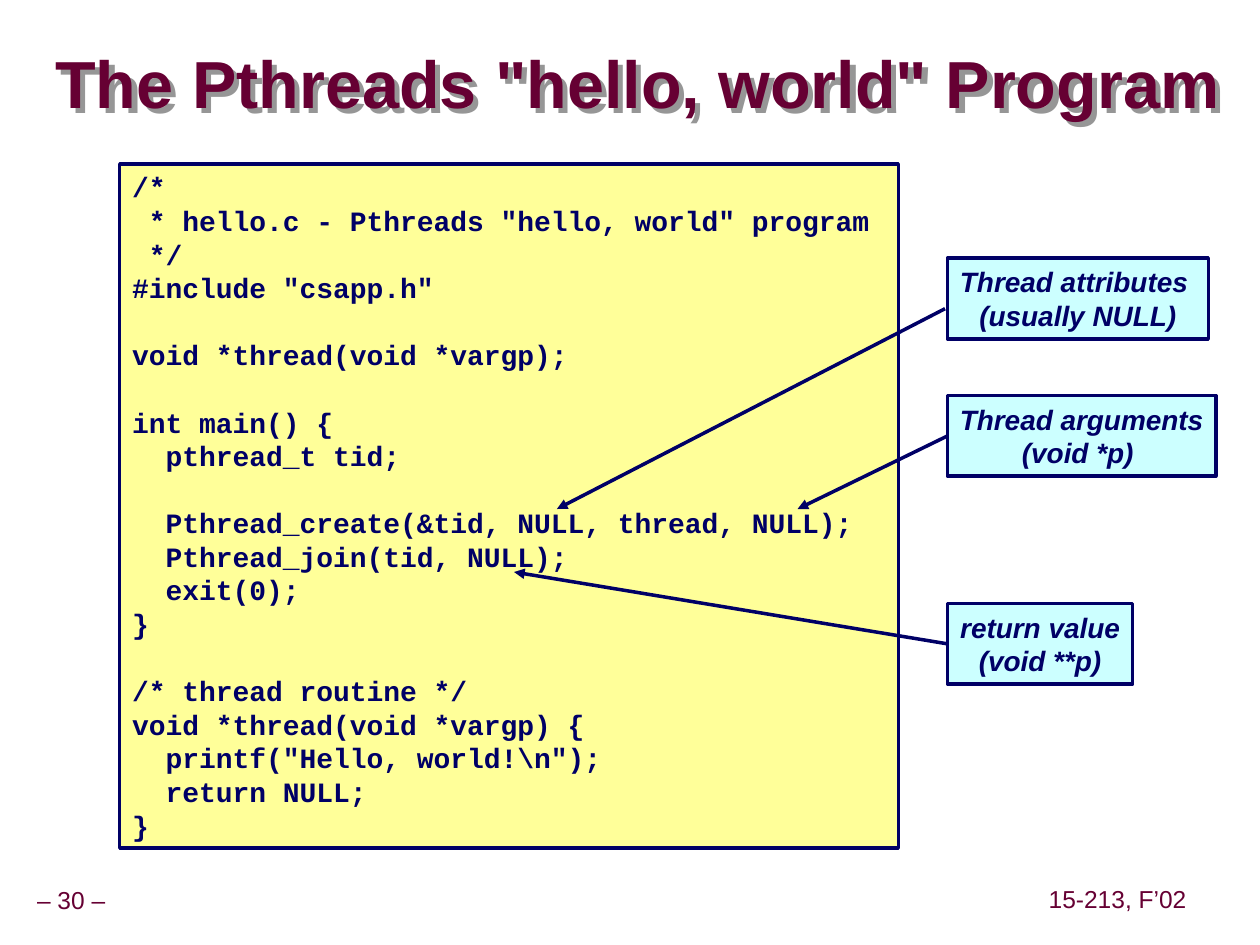
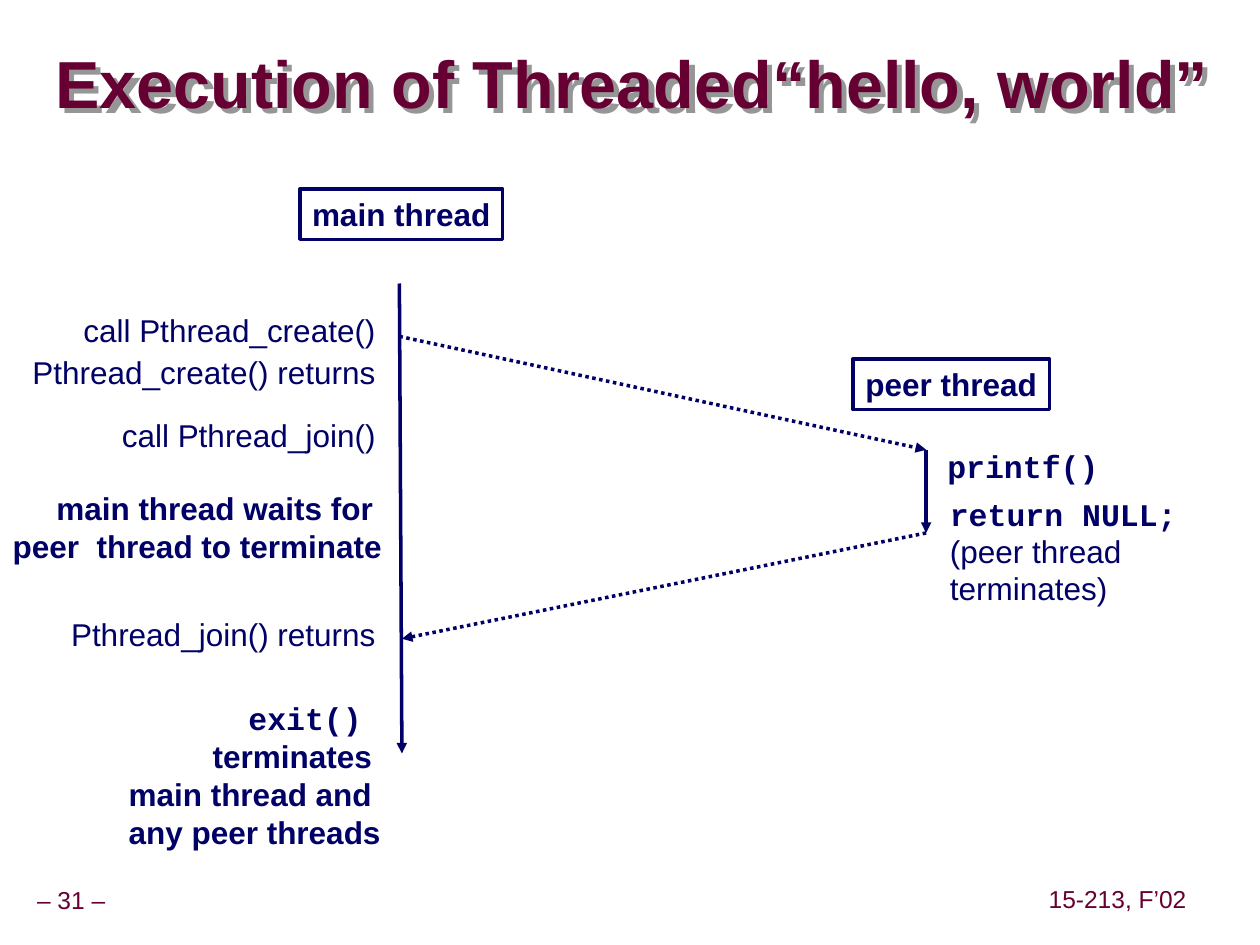
from lxml import etree
from pptx import Presentation
from pptx import util as u
from pptx.dml.color import RGBColor
from pptx.enum import dml, shapes, text
from pptx.oxml import parse_xml
from pptx.oxml.ns import nsdecls, qn
from pptx.text.text import Font

NAVY = RGBColor(0x00, 0x00, 0x66)
MAROON = RGBColor(0x66, 0x00, 0x33)
YELLOW = RGBColor(0xFF, 0xFF, 0x99)
CYAN = RGBColor(0xCC, 0xFF, 0xFF)
SANS, MONO = "Arial", "Courier New"
LEFT, CENTER, RIGHT = text.PP_ALIGN.LEFT, text.PP_ALIGN.CENTER, text.PP_ALIGN.RIGHT
TOP, MIDDLE = text.MSO_ANCHOR.TOP, text.MSO_ANCHOR.MIDDLE

prs = Presentation()
prs.slide_width, prs.slide_height = u.Inches(10), u.Inches(7.5)
COL = prs.slide_width / 100  # the grid has 100 columns and 75 rows
ROW = prs.slide_height / 75


def add_text(slide, lines, left, top, width, height, *, size=18, font=SANS, color=NAVY,
             bold=False, italic=False, align=LEFT, anchor=MIDDLE, wrap=False,
             framed=False, fill=None, pad=(1, 0.5), spacing=None):
    """Place lines of text on the grid, in a frame if asked, and return the shape."""
    box = [int(left * COL), int(top * ROW), int(width * COL), int(height * ROW)]
    if framed:
        sp = slide.shapes.add_shape(shapes.MSO_SHAPE.RECTANGLE, *box)
        sp.shadow.inherit = False
        sp.line.color.rgb, sp.line.width = NAVY, u.Pt(2)
        if fill is None:
            sp.fill.background()
        else:
            sp.fill.solid()
            sp.fill.fore_color.rgb = fill
    else:
        sp = slide.shapes.add_textbox(*box)
    tf = sp.text_frame
    tf.word_wrap, tf.vertical_anchor = wrap, anchor
    tf.margin_left = tf.margin_right = int(pad[0] * COL)
    tf.margin_top = tf.margin_bottom = int(pad[1] * ROW)
    for i, line in enumerate(lines):
        p = tf.add_paragraph() if i else tf.paragraphs[0]
        p.alignment = align
        if spacing:
            p.line_spacing = spacing
        if line:
            r = p.add_run()
            r.text, f = line, r.font
        else:
            f = Font(p._p.get_or_add_endParaRPr())
        f.name, f.size, f.bold, f.italic = font, u.Pt(size), bold, italic
        f.color.rgb = color
    return sp


def add_arrow(slide, x1, y1, x2, y2, dotted=False):
    line = slide.shapes.add_connector(shapes.MSO_CONNECTOR.STRAIGHT, int(x1 * COL),
                                      int(y1 * ROW), int(x2 * COL), int(y2 * ROW))
    line.line.color.rgb, line.line.width = NAVY, u.Pt(2)
    if dotted:
        line.line.dash_style = dml.MSO_LINE.ROUND_DOT
    etree.SubElement(line.line._get_or_add_ln(), qn("a:tailEnd"), type="triangle")
    etree.SubElement(line._element.spPr, qn("a:effectLst"))
    return line


# Title, page number and course name on both slides
TITLE_SHADOW = f"""<a:effectLst {nsdecls("a")}>
  <a:outerShdw dist="54000" dir="2700000" algn="ctr" rotWithShape="0">
    <a:srgbClr val="969696"/></a:outerShdw></a:effectLst>"""
titles = ['The Pthreads "hello, world" Program', "Execution of Threaded“hello, world”"]
slides = []
for number, title in enumerate(titles, start=30):
    s = prs.slides.add_slide(prs.slide_layouts[6])
    for label, left, top, width in [(f"– {number} –", -0.9, 70, 13.1),
                                    ("15-213, F’02", 82.7, 69.9, 12)]:
        add_text(s, [label], left, top, width, 3.1, size=14, color=MAROON,
                 align=CENTER, pad=(0.5, 0.5), spacing=0.9)
    sp = add_text(s, [title], 4.4, 2.7, 95.3, 8.5, size=38, color=MAROON, bold=True,
                  wrap=True, pad=(0, 0), spacing=0.87)
    sp._element.spPr.append(parse_xml(TITLE_SHADOW))
    slides.append(s)
program, execution = slides

# Program listing with its callouts
CODE = r"""/*
 * hello.c - Pthreads "hello, world" program
 */
#include "csapp.h"

void *thread(void *vargp);

int main() {
  pthread_t tid;

  Pthread_create(&tid, NULL, thread, NULL);
  Pthread_join(tid, NULL);
  exit(0);
}

/* thread routine */
void *thread(void *vargp) {
  printf("Hello, world!\n");
  return NULL;
}"""
add_text(program, CODE.splitlines(), 9.5, 13, 61.8, 54.3, size=16, font=MONO, bold=True,
         framed=True, fill=YELLOW)

callouts = [  # lines, top, width, arrow start row, arrow end, joined to the box
    (["Thread attributes ", "(usually NULL)"], 20.5, 20.7, 24.5, (44.2, 40.4), False),
    (["Thread arguments", "(void *p) "], 31.4, 21.3, 34.5, (63.3, 40.4), True),
    (["return value", "(void **p)"], 47.9, 14.7, 51.2, (40.8, 45.4), True),
]
for lines, top, width, start, end, joined in callouts:
    sp = add_text(program, lines, 75.2, top, width, 6.4, size=16, bold=True, italic=True,
                  align=CENTER, framed=True, fill=CYAN)
    arrow = add_arrow(program, 75, start, *end)
    if joined:
        arrow.begin_connect(sp, 1)

# Time lines of the two threads
for name, left, top, width in [("main thread", 23.8, 15, 16.1),
                               ("peer thread", 67.7, 28.5, 15.6)]:
    add_text(execution, [name], left, top, width, 4, bold=True, align=CENTER, framed=True)

MAIN, PEER = 31.8, 73.5
add_arrow(execution, MAIN - 0.1, 22.5, MAIN + 0.1, 59.8)
add_arrow(execution, PEER, 35.7, PEER, 42.3)
add_arrow(execution, MAIN - 0.1, 26.7, PEER, 35.7, dotted=True)
add_arrow(execution, PEER, 42.3, MAIN + 0.1, 50.7, dotted=True)

# Events of the main thread
for event, top in [("call Pthread_create()", 24.2), ("Pthread_create() returns", 27.5),
                   ("call Pthread_join()", 32.5), ("Pthread_join() returns", 48.3)]:
    add_text(execution, [event], 0.8, top, 30, 4, align=RIGHT, anchor=TOP, wrap=True)
add_text(execution, ["main thread waits for ", "peer  thread to terminate"],
         0, 38.3, 31.3, 7, bold=True, align=RIGHT)
sp = add_text(execution, ["exit() ", "terminates ", "main thread and ", "any peer threads"],
              9.2, 55, 22, 13, bold=True, align=RIGHT)
sp.text_frame.paragraphs[0].runs[0].font.name = MONO

# Events of the peer thread
for call, left, top, width in [("printf()", 74.2, 35, 14), ("return NULL;", 74.4, 38.8, 20)]:
    add_text(execution, [call], left, top, width, 4, font=MONO, bold=True)
add_text(execution, ["(peer thread", "terminates)"], 74.4, 41.7, 15.6, 7, anchor=TOP)

prs.save("out.pptx")
